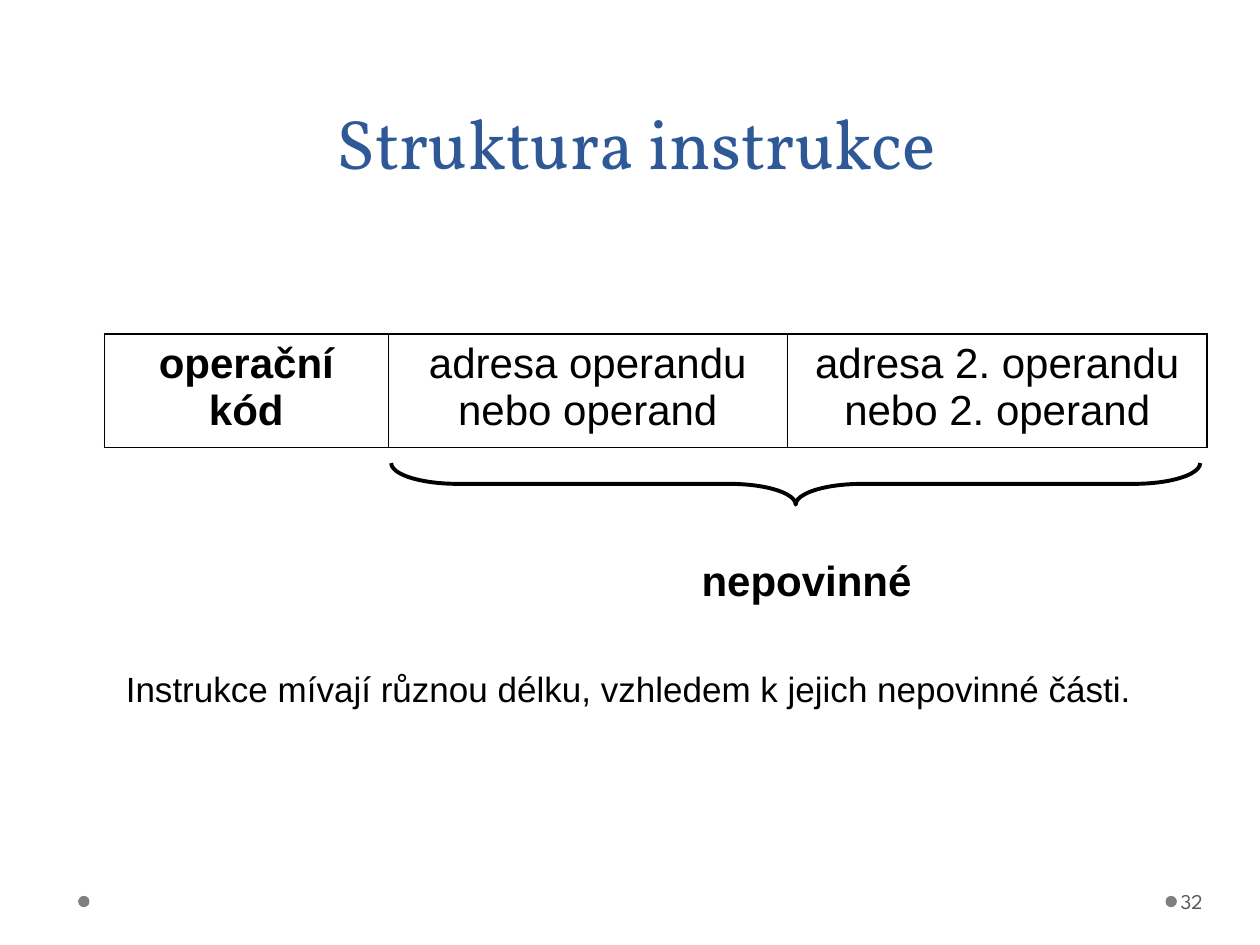
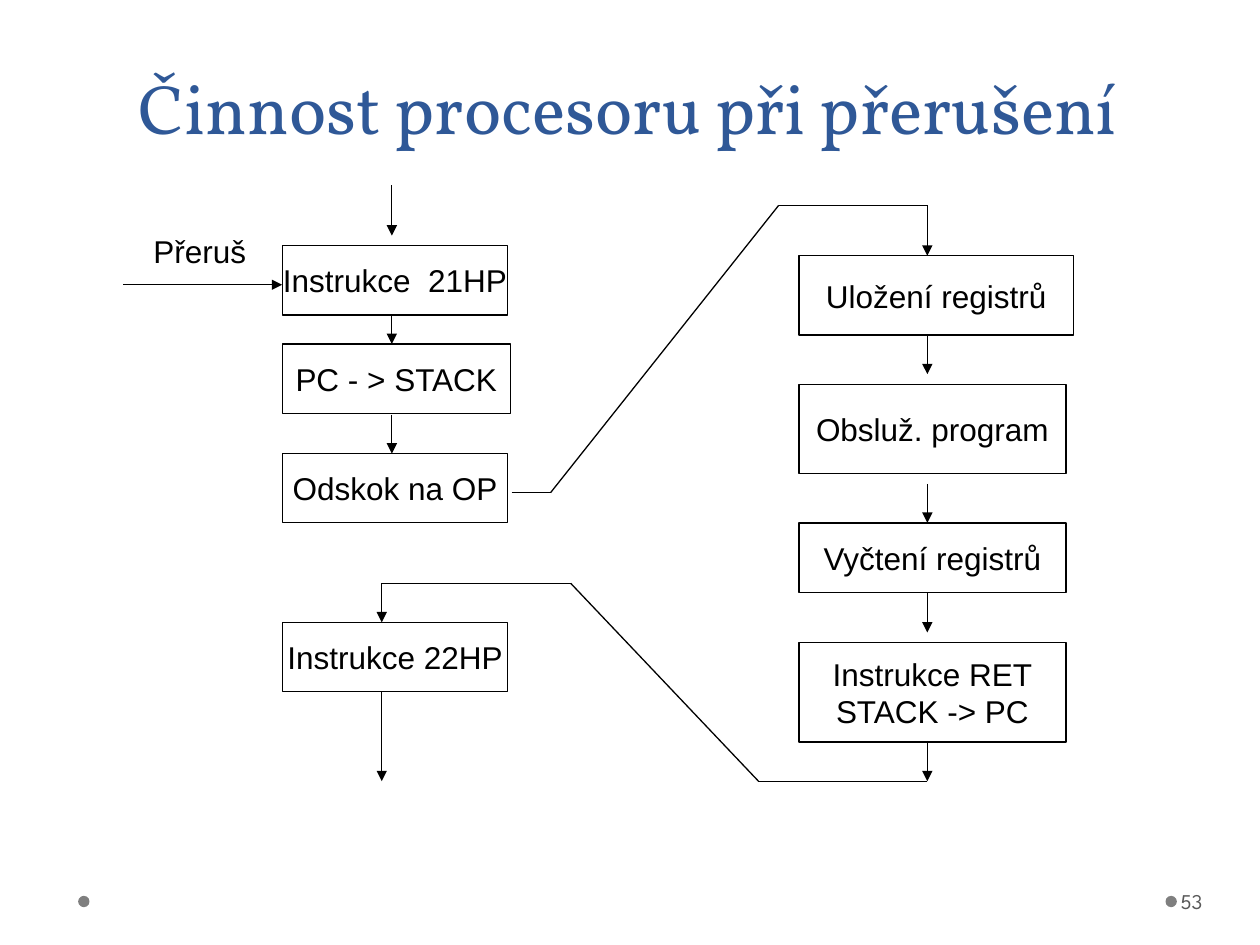
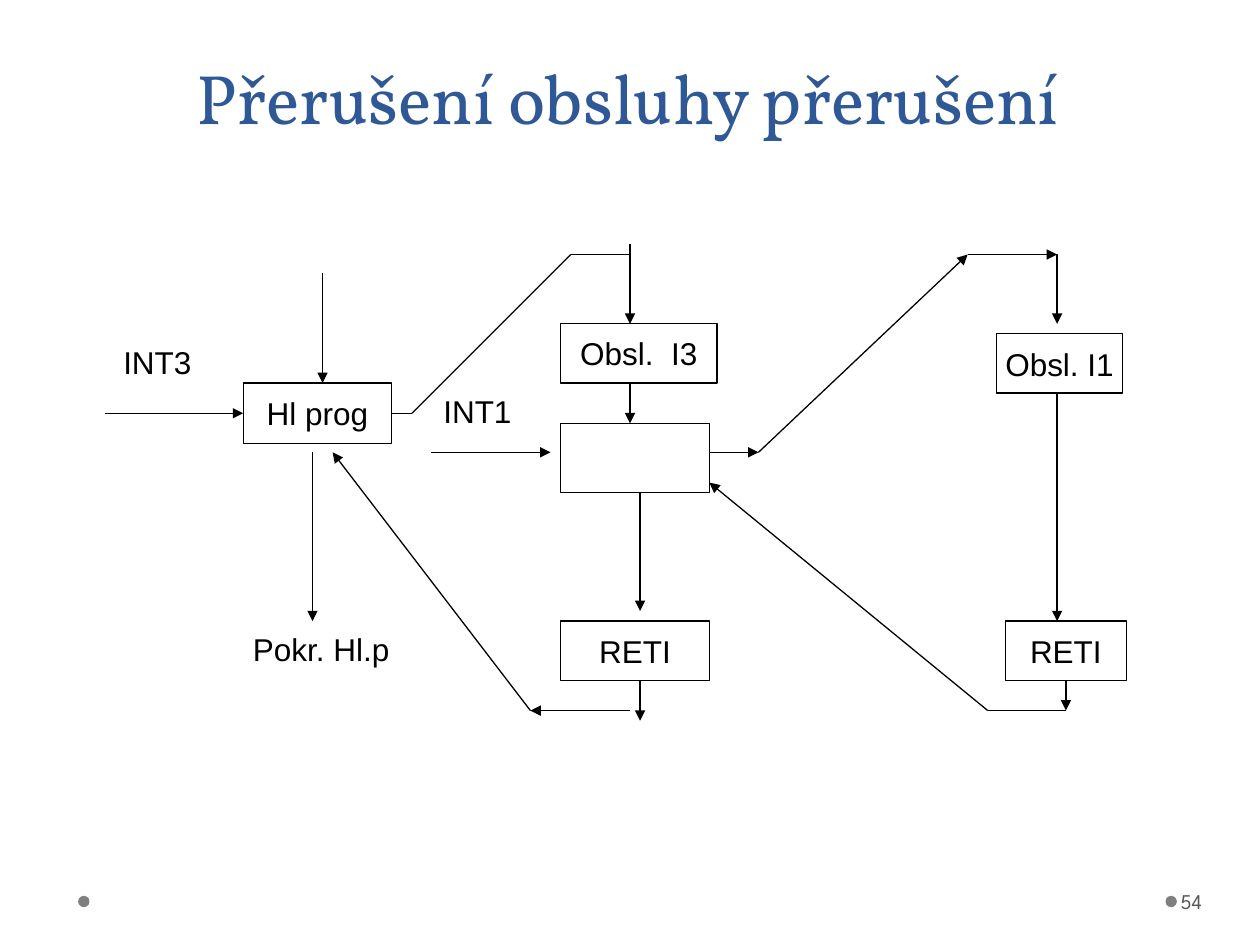
"""Build three slides on processor instructions and interrupts."""
from dataclasses import dataclass
from itertools import pairwise

from lxml import etree
from pptx import Presentation
from pptx import util as u
from pptx.dml import color
from pptx.enum import shapes, text
from pptx.oxml import ns

BLACK = color.RGBColor(0x00, 0x00, 0x00)
WHITE = color.RGBColor(0xFF, 0xFF, 0xFF)
BLUE = color.RGBColor(0x2F, 0x58, 0x97)
GREY = color.RGBColor(0x59, 0x59, 0x59)
DOT_GREY = color.RGBColor(0x7F, 0x7F, 0x7F)
TITLE_FONT, BODY_FONT, FOOTER_FONT = "Vollkorn", "Arial", "League Spartan"
CENTER = text.PP_ALIGN.CENTER
MIDDLE = text.MSO_ANCHOR.MIDDLE
THICK, THIN = 1.08, 0.45


@dataclass(frozen=True)
class Area:
    left: float
    top: float
    width: float
    height: float

    def lengths(self):
        return [u.Inches(n) for n in (self.left, self.top, self.width, self.height)]


@dataclass(frozen=True)
class Label:
    words: str
    area: Area


@dataclass(frozen=True)
class Route:
    points: tuple[tuple[float, float], ...]
    arrows: int = 1


@dataclass(frozen=True)
class Flow:
    title: Label
    number: int
    boxes: tuple[Label, ...]
    captions: tuple[Label, ...]
    routes: tuple[Route, ...]


INTERRUPT = Flow(
    Label("Činnost procesoru při přerušení", Area(0.33, 0.25, 9.31, 0.98)),
    53,
    boxes=(
        Label("Instrukce  21HP", Area(2.24, 1.95, 1.79, 0.55)),
        Label("PC - > STACK", Area(2.24, 2.73, 1.81, 0.55)),
        Label("Odskok na OP", Area(2.24, 3.6, 1.79, 0.55)),
        Label("Instrukce 22HP", Area(2.24, 4.94, 1.79, 0.55)),
        Label("Uložení registrů", Area(6.34, 2.03, 2.18, 0.63)),
        Label("Obsluž. program", Area(6.34, 3.05, 2.12, 0.71)),
        Label("Vyčtení registrů", Area(6.34, 4.15, 2.12, 0.55)),
        Label("Instrukce RET\nSTACK -> PC", Area(6.34, 5.1, 2.12, 0.79)),
    ),
    captions=(Label("Přeruš", Area(1.12, 1.79, 0.94, 0.4)),),
    routes=(
        Route(((0.98, 2.26), (2.24, 2.26))),
        Route(((3.11, 1.47), (3.11, 1.87))),
        Route(((3.11, 2.5), (3.11, 2.73))),
        Route(((3.11, 3.29), (3.11, 3.6))),
        Route(((4.06, 3.91), (4.37, 3.91), (6.18, 1.63), (7.36, 1.63), (7.36, 2.03))),
        Route(((7.36, 2.66), (7.36, 2.97))),
        Route(((7.36, 3.84), (7.36, 4.15))),
        Route(((7.36, 4.7), (7.36, 5.02))),
        Route(((7.36, 5.88), (7.36, 6.2))),
        Route(((7.36, 6.2), (6.02, 6.2), (4.53, 4.63), (3.03, 4.63), (3.03, 4.94))),
        Route(((3.03, 5.49), (3.03, 6.2))),
    ),
)

NESTED = Flow(
    Label("Přerušení obsluhy přerušení", Area(0.33, 0.25, 9.31, 0.9)),
    54,
    boxes=(
        Label("Hl prog", Area(1.93, 3.04, 1.18, 0.48)),
        Label("Obsl.  I3", Area(4.45, 2.57, 1.24, 0.47)),
        Label("", Area(4.45, 3.36, 1.18, 0.55)),
        Label("RETI", Area(4.45, 4.93, 1.18, 0.47)),
        Label("Obsl. I1", Area(7.91, 2.65, 1, 0.47)),
        Label("RETI", Area(7.98, 4.93, 0.96, 0.47)),
    ),
    captions=(
        Label("INT3", Area(0.88, 2.67, 0.81, 0.4)),
        Label("INT1", Area(3.42, 3.06, 0.87, 0.4)),
        Label("Pokr. Hl.p", Area(1.91, 4.95, 1.36, 0.4)),
    ),
    routes=(
        Route(((0.83, 3.28), (1.93, 3.28))),
        Route(((2.56, 2.17), (2.56, 3.04))),
        Route(((3.11, 3.28), (3.27, 3.28), (4.53, 2.02), (5, 2.02)), arrows=0),
        Route(((5, 1.94), (5, 2.57))),
        Route(((5, 3.04), (5, 3.36))),
        Route(((3.42, 3.59), (4.37, 3.59))),
        Route(((5.63, 3.59), (6.02, 3.59), (7.68, 2.02), (8.39, 2.02), (8.39, 2.57)), arrows=4),
        Route(((8.39, 3.12), (8.39, 4.93))),
        Route(((8.46, 5.4), (8.46, 5.64))),
        Route(((8.46, 5.64), (7.84, 5.64), (5.63, 3.83))),
        Route(((5.08, 3.91), (5.08, 4.85))),
        Route(((5.08, 5.4), (5.08, 5.72))),
        Route(((5, 5.64), (4.21, 5.64), (2.64, 3.59)), arrows=2),
        Route(((2.48, 3.59), (2.48, 4.93))),
    ),
)


def write_text(frame, words: str, *, size: float = 18, font: str = BODY_FONT,
               ink: color.RGBColor = BLACK, bold: bool = False, align=text.PP_ALIGN.LEFT,
               anchor=text.MSO_ANCHOR.TOP, spacing=None, wrap: bool = True) -> None:
    frame.word_wrap = wrap
    frame.vertical_anchor = anchor
    for index, line in enumerate(words.split("\n")):
        para = frame.add_paragraph() if index else frame.paragraphs[0]
        para.alignment = align
        para.line_spacing = spacing
        span = para.add_run()
        span.text = line
        span.font.size = u.Pt(size)
        span.font.name = font
        span.font.bold = bold
        span.font.color.rgb = ink


def add_caption(page, label: Label, **style):
    box = page.shapes.add_textbox(*label.area.lengths())
    write_text(box.text_frame, label.words, **style)
    return box


def add_page(deck, title: Label, number: int):
    page = deck.slides.add_slide(deck.slide_layouts.get_by_name("Title Only"))
    heading = page.shapes.title
    heading.left, heading.top, heading.width, heading.height = title.area.lengths()
    heading.text_frame.auto_size = text.MSO_AUTO_SIZE.NONE
    write_text(heading.text_frame, title.words, size=40, font=TITLE_FONT, ink=BLUE,
               align=CENTER, anchor=text.MSO_ANCHOR.BOTTOM, spacing=u.Pt(58))
    for left in (0.62, 9.25):
        dot = page.shapes.add_shape(shapes.MSO_SHAPE.OVAL, *Area(left, 7.11, 0.09, 0.09).lengths())
        dot.shadow.inherit = False
        dot.fill.solid()
        dot.fill.fore_color.rgb = DOT_GREY
        dot.line.fill.background()
    footer = add_caption(page, Label(str(number), Area(9.34, 6.95, 0.61, 0.4)),
                         size=12, font=FOOTER_FONT, ink=GREY, anchor=MIDDLE)
    footer.text_frame.margin_left = u.Inches(0.03)
    footer.text_frame.margin_right = u.Inches(0.05)
    return page


def add_box(page, label: Label):
    box = page.shapes.add_shape(shapes.MSO_SHAPE.RECTANGLE, *label.area.lengths())
    box.shadow.inherit = False
    box.fill.solid()
    box.fill.fore_color.rgb = WHITE
    box.line.color.rgb = BLACK
    box.line.width = u.Pt(0.75)
    if label.words:
        write_text(box.text_frame, label.words, align=CENTER, anchor=MIDDLE, wrap=False)
    return box


def find_joint(boxes, x: int, y: int):
    """Return the box and side whose middle lies at the point, if any."""
    for box in boxes:
        middle_x, middle_y = box.left + box.width // 2, box.top + box.height // 2
        sides = ((middle_x, box.top), (box.left, middle_y),
                 (middle_x, box.top + box.height), (box.left + box.width, middle_y))
        for side, (side_x, side_y) in enumerate(sides):
            if max(abs(side_x - x), abs(side_y - y)) < u.Inches(0.01):
                return box, side
    return None


def add_route(page, route: Route, boxes) -> None:
    points = [(u.Inches(x), u.Inches(y)) for x, y in route.points]
    first_arrow = len(points) - 1 - route.arrows
    for index, (start, end) in enumerate(pairwise(points)):
        line = page.shapes.add_connector(shapes.MSO_CONNECTOR.STRAIGHT, *start, *end)
        line.line.color.rgb = BLACK
        line.line.width = u.Pt(0.75)
        properties = line._element.spPr
        if index >= first_arrow:
            etree.SubElement(properties.find(ns.qn("a:ln")), ns.qn("a:tailEnd"), type="triangle")
        etree.SubElement(properties, ns.qn("a:effectLst"))
        for point, connect in ((start, line.begin_connect), (end, line.end_connect)):
            joint = find_joint(boxes, *point)
            if joint:
                connect(*joint)


def add_flow(deck, flow: Flow) -> None:
    page = add_page(deck, flow.title, flow.number)
    boxes = [add_box(page, label) for label in flow.boxes]
    for route in flow.routes:
        add_route(page, route, boxes)
    for label in flow.captions:
        add_caption(page, label)


def set_borders(cell, widths: dict[str, float]) -> None:
    properties = cell._tc.get_or_add_tcPr()
    for side, width in widths.items():
        border = etree.SubElement(properties, ns.qn(f"a:ln{side}"), w=str(u.Pt(width)))
        fill = etree.SubElement(border, ns.qn("a:solidFill"))
        etree.SubElement(fill, ns.qn("a:srgbClr"), val=str(BLACK))


def add_instruction_table(page) -> None:
    fields = (("operační kód", 2.25), ("adresa operandu nebo operand", 3.17),
              ("adresa 2. operandu nebo 2. operand", 3.33))
    last = len(fields) - 1
    table = page.shapes.add_table(1, len(fields), *Area(0.83, 2.65, 8.75, 0.9).lengths()).table
    table.first_row = table.horz_banding = False
    for index, (words, width) in enumerate(fields):
        table.columns[index].width = u.Inches(width)
        cell = table.cell(0, index)
        set_borders(cell, {"L": THIN if index else THICK, "R": THIN if index < last else THICK,
                           "T": THICK, "B": THICK})
        cell.fill.solid()
        cell.fill.fore_color.rgb = WHITE
        write_text(cell.text_frame, words, size=24, bold=index == 0, align=CENTER)


def add_structure(deck) -> None:
    page = add_page(deck, Label("Struktura instrukce", Area(0.55, 0.44, 9, 1.07)), 32)
    add_instruction_table(page)
    brace = page.shapes.add_shape(shapes.MSO_SHAPE.LEFT_BRACE, *Area(6.15, 0.63, 0.33, 6.42).lengths())
    brace.rotation = 270
    brace.adjustments[0] = 1.6
    brace.shadow.inherit = False
    brace.fill.background()
    brace.line.color.rgb = BLACK
    brace.line.width = u.Pt(2.25)
    add_caption(page, Label("nepovinné", Area(5.47, 4.35, 2.07, 0.5)), size=24, bold=True)
    add_caption(page, Label("Instrukce mívají různou délku, vzhledem k jejich nepovinné části.",
                            Area(0.9, 5.25, 8.35, 0.44)), size=20)


def main() -> None:
    deck = Presentation()
    deck.slide_width, deck.slide_height = u.Inches(10), u.Inches(7.5)
    add_structure(deck)
    for flow in (INTERRUPT, NESTED):
        add_flow(deck, flow)
    deck.save("out.pptx")


if __name__ == "__main__":
    main()
